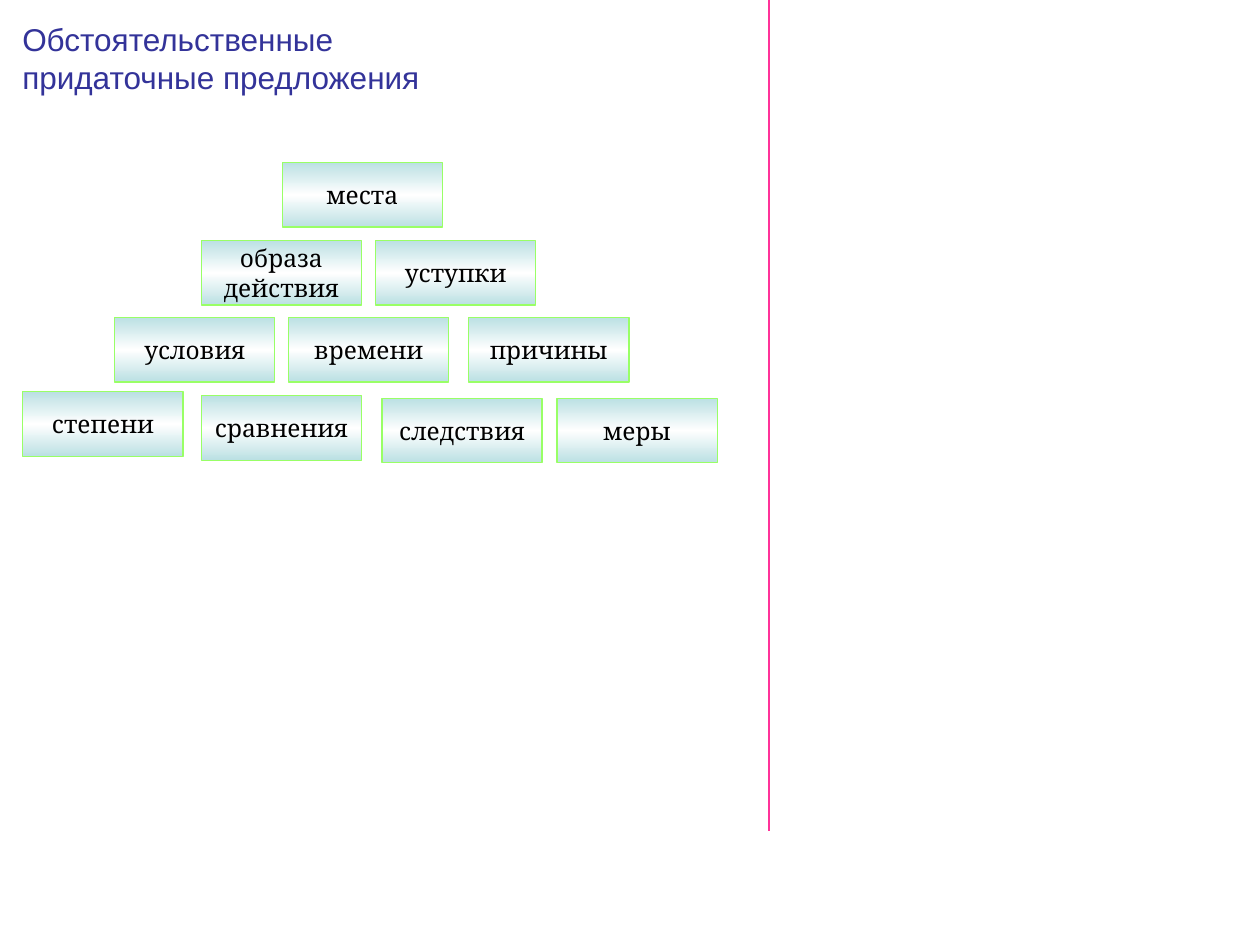
from copy import deepcopy
from dataclasses import dataclass

from pptx import Presentation
from pptx.dml.color import RGBColor
from pptx.enum.shapes import MSO_CONNECTOR, MSO_SHAPE
from pptx.enum.text import MSO_ANCHOR, PP_ALIGN
from pptx.oxml.ns import qn
from pptx.util import Cm, Pt
from lxml import etree

RECT = MSO_SHAPE.RECTANGLE
LINE = MSO_CONNECTOR.STRAIGHT
MID = MSO_ANCHOR.MIDDLE
TOP = MSO_ANCHOR.TOP
LEFT = PP_ALIGN.LEFT
MIDDLE = PP_ALIGN.CENTER


@dataclass(frozen=True)
class Theme:
    shade: RGBColor = RGBColor(0xBB, 0xE0, 0xE3)
    glow: RGBColor = RGBColor(0xFF, 0xFF, 0xFF)
    edge: RGBColor = RGBColor(0x99, 0xFF, 0x66)
    rule: RGBColor = RGBColor(0xFF, 0x33, 0x99)
    title: RGBColor = RGBColor(0x33, 0x33, 0x99)
    ink: RGBColor = RGBColor(0, 0, 0)
    head: str = "Arial"
    body: str = "Cambria"
    big: int = 18
    small: int = 14
    width: float = 0.75


class Board:
    def __init__(self, slide, theme):
        self.slide = slide
        self.theme = theme

    def label(self, shape, text, font, size, color, align, anchor):
        frame = shape.text_frame
        frame.word_wrap = False
        frame.vertical_anchor = anchor
        frame.text = text
        for par in frame.paragraphs:
            par.alignment = align
            par.font.name = font
            par.font.size = Pt(size)
            par.font.color.rgb = color

    def title(self, text, x, y, w, h):
        t = self.theme
        box = self.slide.shapes.add_textbox(Cm(x), Cm(y), Cm(w), Cm(h))
        self.label(box, text, t.head, t.big, t.title, LEFT, TOP)

    def shade(self, box):
        t = self.theme
        fill = box.fill
        fill.gradient()
        fill.gradient_angle = 270
        stops = box._element.spPr.find(".//" + qn("a:gsLst"))
        stops.append(deepcopy(stops[0]))
        looks = ((0, t.shade), (0.5, t.glow), (1, t.shade))
        for stop, (place, color) in zip(fill.gradient_stops, looks):
            stop.position = place
            stop.color.rgb = color

    def brick(self, text, x, y, w, h):
        t = self.theme
        box = self.slide.shapes.add_shape(RECT, Cm(x), Cm(y), Cm(w), Cm(h))
        box.shadow.inherit = False
        self.shade(box)
        box.line.color.rgb = t.edge
        box.line.width = Pt(t.width)
        self.label(box, text, t.body, t.small, t.ink, MIDDLE, MID)

    def rule(self, x, top, end):
        line = self.slide.shapes.add_connector(LINE, Cm(x), Cm(top), Cm(x), Cm(end))
        line.line.color.rgb = self.theme.rule
        line.line.width = Pt(self.theme.width)
        etree.SubElement(line._element.spPr, qn("a:effectLst"))


BRICKS = (
    ("меры", 11.23, 8.03),
    ("следствия", 7.7, 8.03),
    ("сравнения", 4.06, 7.98),
    ("степени", 0.46, 7.9),
    ("условия", 2.31, 6.4),
    ("времени", 5.82, 6.4),
    ("причины", 9.45, 6.4),
    ("образа\nдействия", 4.06, 4.85),
    ("уступки", 7.57, 4.85),
    ("места", 5.69, 3.28),
)


def main():
    deck = Presentation()
    deck.slide_width = Cm(25.4)
    deck.slide_height = Cm(19.05)
    board = Board(deck.slides.add_slide(deck.slide_layouts[6]), Theme())
    board.rule(15.5, 0, 16.76)
    for text, x, y in BRICKS:
        board.brick(text, x, y, 3.23, 1.3)
    board.title("Обстоятельственные\nпридаточные предложения", 0.2, 0.28, 14.88, 2)
    deck.save("out.pptx")


if __name__ == "__main__":
    main()
